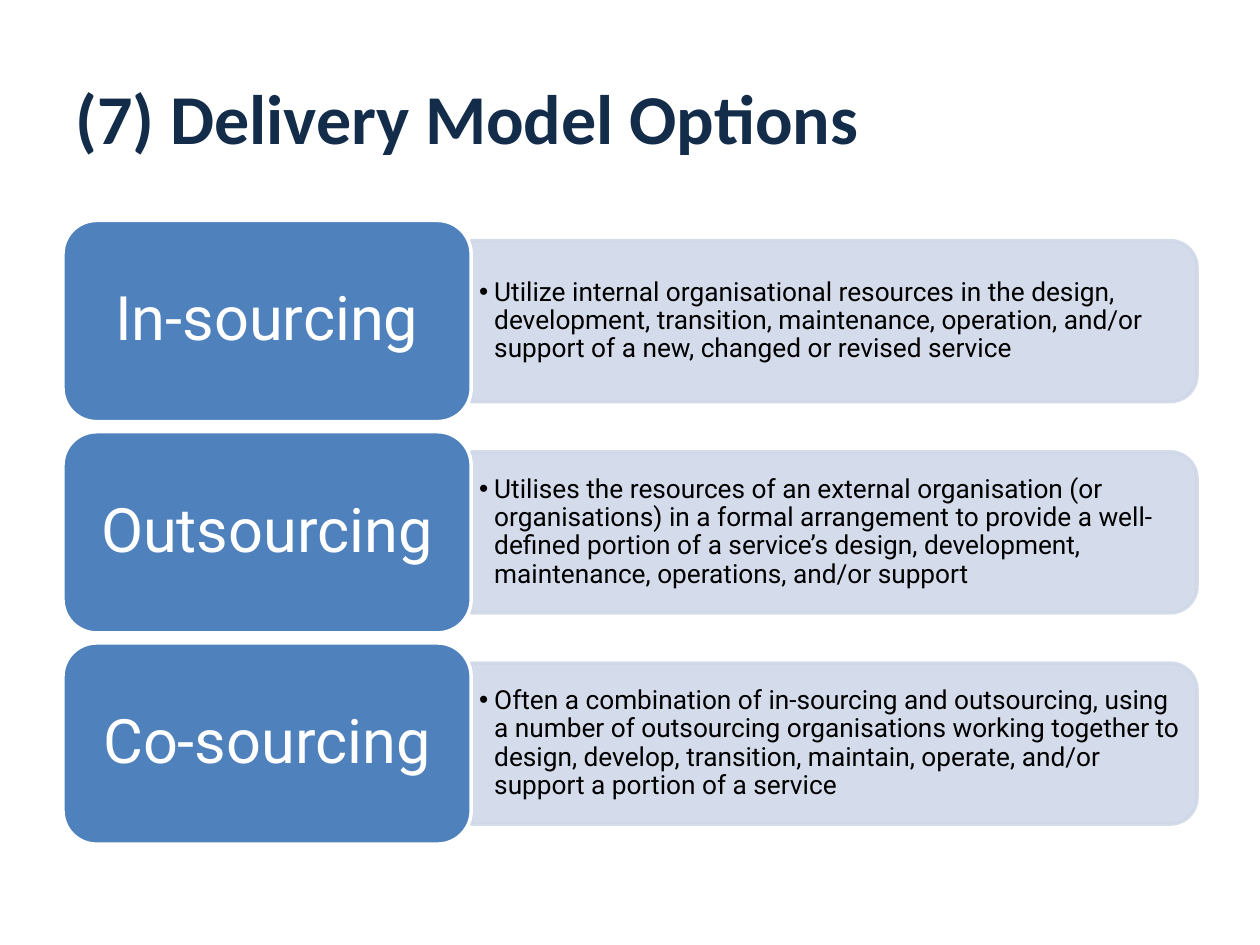
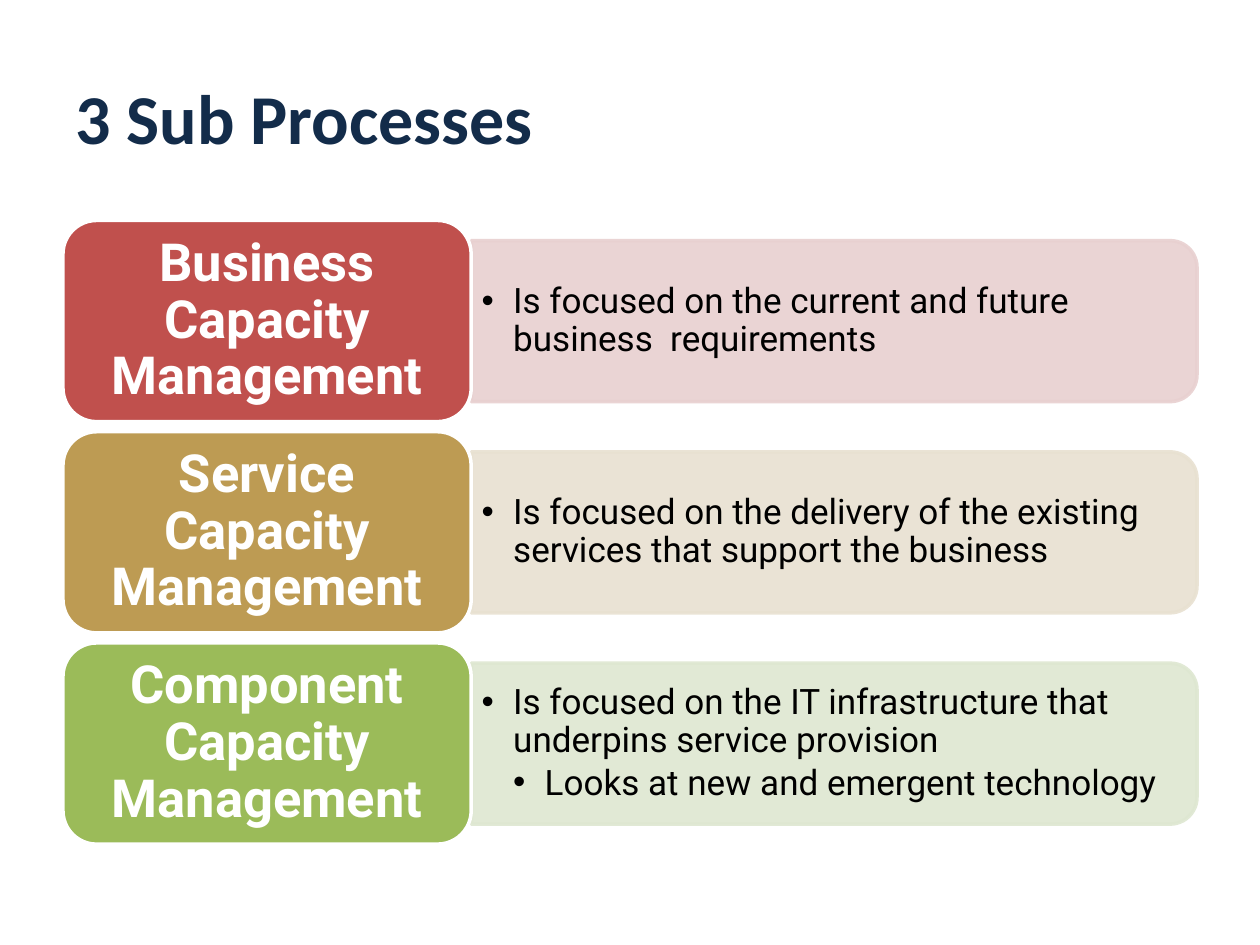
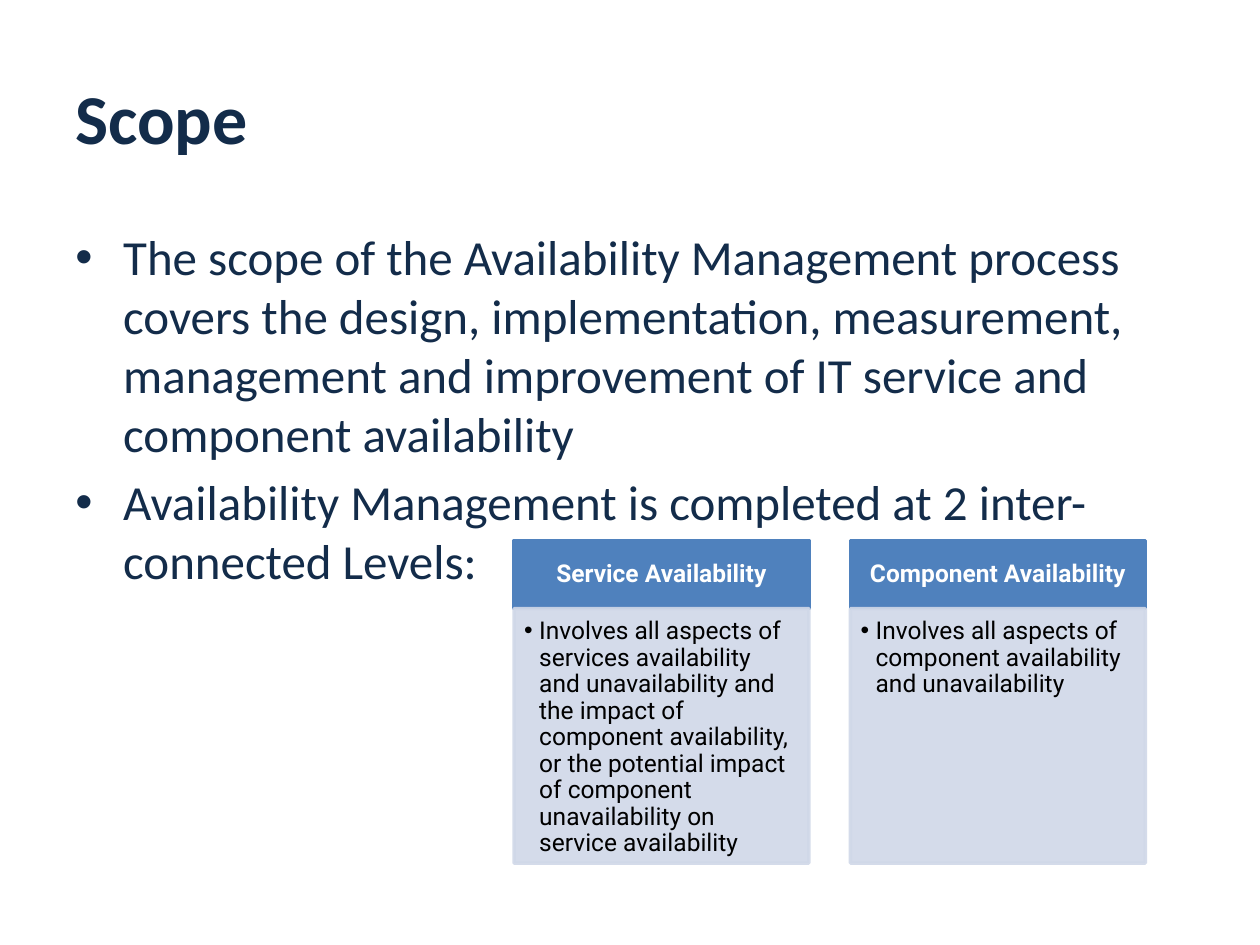
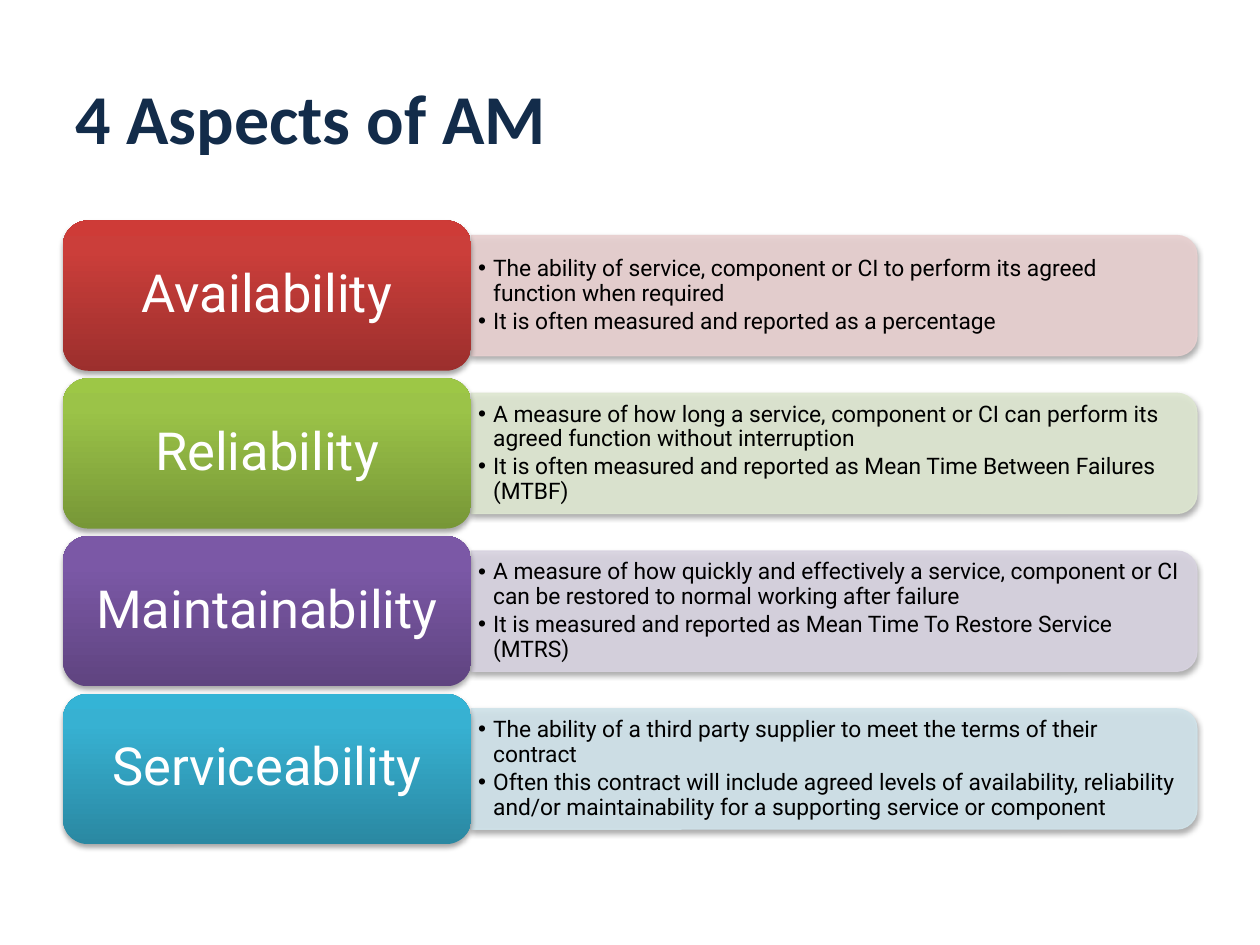
from dataclasses import dataclass

from lxml.etree import SubElement
from pptx import Presentation
from pptx.dml.color import RGBColor
from pptx.enum.shapes import MSO_SHAPE as Shape
from pptx.enum.text import MSO_ANCHOR as Anchor, PP_ALIGN as Align
from pptx.oxml.ns import qn
from pptx.util import Inches, Pt


@dataclass(frozen=True)
class Theme:
    heading_font: str = "Calibri"
    diagram_font: str = "Roboto"
    navy: str = "132C4A"
    white: str = "FFFFFF"
    black: str = "000000"
    blue: str = "4F81BD"
    red: str = "C0504D"
    gold: str = "BD9B53"
    green: str = "9BBB59"
    pale_blue: str = "D0D8E8"
    pale_red: str = "E8D0D0"
    pale_gold: str = "E8E1D1"
    pale_green: str = "DEE7D1"
    pale_purple: str = "D8D3E0"
    pale_aqua: str = "D0E3EA"
    red_glow: tuple = ("9C2F2D", "CB3E3A", "CE3B37")
    green_glow: tuple = ("779737", "9BC348", "9DC746")
    purple_glow: tuple = ("5F4480", "7B58A6", "7C57A8")
    aqua_glow: tuple = ("2A88A2", "37B1D2", "34B4D6")
    title_size: int = 40
    body_size: int = 28
    column_size: int = 14
    panel_alpha: int = 90


THEME = Theme()
TITLE_BOX = (0.5, 0.3, 9, 1.25)
CONTENT_BOX = (0.5, 1.75, 9, 4.95)
COLUMNS_BOX = (4.08, 4.29, 5.01, 2.56)


@dataclass(frozen=True)
class RowStyle:
    label_size: int
    detail_size: int
    indent: float = 0.12
    bold: bool = False
    line_width: float = 2
    raised: bool = False


def write(holder, items, *, size, color, font=THEME.diagram_font, bold=False,
          align=Align.LEFT, anchor=Anchor.MIDDLE, insets=(0.1, 0.05, 0.1, 0.05),
          indent=0, line_spacing=None, before=0, after=0):
    """Fill a shape with (text, level) items; a positive indent makes them bullets."""
    frame = holder.text_frame
    frame.word_wrap = True
    frame.vertical_anchor = anchor
    (frame.margin_left, frame.margin_top,
     frame.margin_right, frame.margin_bottom) = map(Inches, insets)
    for index, (text, level) in enumerate(items):
        para = frame.add_paragraph() if index else frame.paragraphs[0]
        para.alignment = align
        para.line_spacing = line_spacing
        para.space_before = Pt(before)
        para.space_after = Pt(after)
        span = para.add_run()
        span.text = text
        span.font.name = font
        span.font.size = Pt(size)
        span.font.bold = bold
        span.font.color.rgb = RGBColor.from_string(color)
        if indent:
            para.level = level
            props = para._p.get_or_add_pPr()
            props.set("marL", str(Inches(indent * (level + 1))))
            props.set("indent", str(-Inches(indent)))
            SubElement(props, qn("a:buFont"), typeface="Arial")
            SubElement(props, qn("a:buChar"), char="•")


def add_text(page, box, items, **text_format):
    write(page.shapes.add_textbox(*map(Inches, box)), items, **text_format)


def set_alpha(color_format, percent):
    color = color_format._xFill.find(qn("a:srgbClr"))
    SubElement(color, qn("a:alpha"), val=str(percent * 1000))


def fill_gradient(shape, colors):
    """Run three colours from the bottom edge to the top."""
    shape.fill.gradient()
    shape.fill.gradient_angle = 90
    stops = shape._element.spPr.find(qn("a:gradFill")).find(qn("a:gsLst"))
    stops[:] = []
    for position, color in zip((0, 80, 100), colors):
        stop = SubElement(stops, qn("a:gs"), pos=str(position * 1000))
        SubElement(stop, qn("a:srgbClr"), val=color)


def cast_shadow(shape):
    effects = shape._element.spPr.find(qn("a:effectLst"))
    shadow = SubElement(effects, qn("a:outerShdw"), blurRad=str(Pt(3.1)),
                        dist=str(Pt(1.8)), dir="5400000", rotWithShape="0")
    color = SubElement(shadow, qn("a:srgbClr"), val=THEME.black)
    SubElement(color, qn("a:alpha"), val="35000")


def add_block(page, kind, box, fill, *, line=None, line_width=2, alpha=None, raised=False):
    """Draw a filled shape; a tuple of colours gives a gradient."""
    shape = page.shapes.add_shape(kind, *map(Inches, box))
    shape.shadow.inherit = False
    if isinstance(fill, tuple):
        fill_gradient(shape, fill)
    else:
        shape.fill.solid()
        shape.fill.fore_color.rgb = RGBColor.from_string(fill)
    if line:
        shape.line.width = Pt(line_width)
        shape.line.color.rgb = RGBColor.from_string(line)
    else:
        shape.line.fill.background()
    if alpha:
        for solid in shape._element.spPr.iter(qn("a:solidFill")):
            SubElement(solid.find(qn("a:srgbClr")), qn("a:alpha"), val=str(alpha * 1000))
    if raised:
        cast_shadow(shape)
    return shape


def add_page(deck, title):
    page = deck.slides.add_slide(deck.slide_layouts[6])
    add_text(page, TITLE_BOX, [(title, 0)], size=THEME.title_size, color=THEME.navy,
             font=THEME.heading_font, bold=True)
    return page


def text_insets(size):
    return (size / 240, size / 480) * 2


def add_panel(page, box, color, details, style):
    """Draw a panel rounded on its right side, with its bullets."""
    left, top, width, height = box
    turned = (left + (width - height) / 2, top + (height - width) / 2, height, width)
    panel = add_block(page, Shape.ROUND_2_SAME_RECTANGLE, turned, color, line=color,
                      line_width=style.line_width, alpha=THEME.panel_alpha,
                      raised=style.raised)
    panel.rotation = 90
    size = style.detail_size
    add_text(page, (left, top + 0.05 * height, width - 0.06, 0.9 * height), details,
             size=size, color=THEME.black, insets=text_insets(size),
             indent=style.indent, line_spacing=0.9, after=0.15 * size)


def add_row(page, box, row, style):
    label, card_color, panel_color, details = row
    left, top, width, height = box
    card_width = 0.36 * width
    add_panel(page, (left + card_width, top + 0.1 * height, width - card_width, 0.8 * height),
              panel_color, details, style)
    card = add_block(page, Shape.ROUNDED_RECTANGLE, (left, top, card_width, height), card_color,
                     line=None if style.raised else THEME.white, raised=style.raised)
    write(card, [(label, 0)], size=style.label_size, color=THEME.white, bold=style.bold,
          align=Align.CENTER, insets=text_insets(style.label_size), line_spacing=0.9)


def build_rows_page(deck, title, rows, style):
    page = add_page(deck, title)
    left, top, width, height = CONTENT_BOX
    gap_share = 0.05
    row_height = height / (len(rows) + gap_share * (len(rows) - 1))
    for index, row in enumerate(rows):
        row_top = top + index * row_height * (1 + gap_share)
        add_row(page, (left, row_top, width, row_height), row, style)


def add_column(page, box, heading, detail):
    left, top, width, height = box
    header_height = 0.54
    header = add_block(page, Shape.RECTANGLE, (left, top, width, header_height),
                       THEME.blue, line=THEME.blue)
    write(header, [(heading, 0)], size=THEME.column_size, color=THEME.white, bold=True,
          align=Align.CENTER, insets=(0.11, 0.06, 0.11, 0.06), line_spacing=0.9)
    body = add_block(page, Shape.RECTANGLE,
                     (left, top + header_height, width, height - header_height),
                     THEME.pale_blue, line=THEME.pale_blue, alpha=THEME.panel_alpha)
    write(body, [(detail, 0)], size=THEME.column_size, color=THEME.black, anchor=Anchor.TOP,
          insets=(0.08, 0.08, 0.11, 0.12), indent=0.12, line_spacing=0.9)


def build_scope_page(deck, title, points, columns):
    page = add_page(deck, title)
    left, top, width, _ = CONTENT_BOX
    add_text(page, (left, top, width, 4.75), points, size=THEME.body_size, color=THEME.navy,
             font=THEME.heading_font, anchor=Anchor.TOP, indent=0.38,
             before=0.2 * THEME.body_size)
    left, top, width, height = COLUMNS_BOX
    gap = 0.33
    column_width = (width - gap * (len(columns) - 1)) / len(columns)
    for index, (heading, detail) in enumerate(columns):
        add_column(page, (left + index * (column_width + gap), top, column_width, height),
                   heading, detail)


DELIVERY_MODELS = [
    ("In-sourcing", THEME.blue, THEME.pale_blue, [
        ("Utilize internal organisational resources in the design, development, transition, "
         "maintenance, operation, and/or support of a new, changed or revised service", 0)]),
    ("Outsourcing", THEME.blue, THEME.pale_blue, [
        ("Utilises the resources of an external organisation (or organisations) in a formal "
         "arrangement to provide a well-defined portion of a service’s design, development, "
         "maintenance, operations, and/or support", 0)]),
    ("Co-sourcing", THEME.blue, THEME.pale_blue, [
        ("Often a combination of in-sourcing and outsourcing, using a number of outsourcing "
         "organisations working together to design, develop, transition, maintain, operate, "
         "and/or support a portion of a service", 0)]),
]

SUB_PROCESSES = [
    ("Business Capacity Management", THEME.red, THEME.pale_red, [
        ("Is focused on the current and future business  requirements", 0)]),
    ("Service Capacity Management", THEME.gold, THEME.pale_gold, [
        ("Is focused on the delivery of the existing services that support the business", 0)]),
    ("Component Capacity Management", THEME.green, THEME.pale_green, [
        ("Is focused on the IT infrastructure that underpins service provision", 0),
        ("Looks at new and emergent technology", 1)]),
]

SCOPE_POINTS = [
    ("The scope of the Availability Management process covers the design, implementation, "
     "measurement, management and improvement of IT service and component availability", 0),
    ("Availability Management is completed at 2 inter-connected Levels:", 0),
]

AVAILABILITY_LEVELS = [
    ("Service Availability",
     "Involves all aspects of services availability and unavailability and the impact of "
     "component availability, or the potential impact of component unavailability on "
     "service availability"),
    ("Component Availability",
     "Involves all aspects of component availability and unavailability"),
]

ASPECTS = [
    ("Availability", THEME.red_glow, THEME.pale_red, [
        ("The ability of service, component or CI to perform its agreed function "
         "when required", 0),
        ("It is often measured and reported as a percentage", 0)]),
    ("Reliability", THEME.green_glow, THEME.pale_green, [
        ("A measure of how long a service, component or CI can perform its agreed function "
         "without interruption", 0),
        ("It is often measured and reported as Mean Time Between Failures (MTBF)", 0)]),
    ("Maintainability", THEME.purple_glow, THEME.pale_purple, [
        ("A measure of how quickly and effectively a service, component or CI can be restored "
         "to normal working after failure", 0),
        ("It is measured and reported as Mean Time To Restore Service (MTRS)", 0)]),
    ("Serviceability", THEME.aqua_glow, THEME.pale_aqua, [
        ("The ability of a third party supplier to meet the terms of their contract", 0),
        ("Often this contract will include agreed levels of availability, reliability and/or "
         "maintainability for a supporting service or component", 0)]),
]


def main():
    deck = Presentation()
    deck.slide_width, deck.slide_height = Inches(10), Inches(7.5)
    build_rows_page(deck, "(7) Delivery Model Options", DELIVERY_MODELS,
                    RowStyle(label_size=35, detail_size=15))
    build_rows_page(deck, "3 Sub Processes", SUB_PROCESSES,
                    RowStyle(label_size=30, detail_size=20, indent=0.25, bold=True))
    build_scope_page(deck, "Scope", SCOPE_POINTS, AVAILABILITY_LEVELS)
    build_rows_page(deck, "4 Aspects of AM", ASPECTS,
                    RowStyle(label_size=30, detail_size=13, line_width=0.75, raised=True))
    deck.save("out.pptx")


if __name__ == "__main__":
    main()
